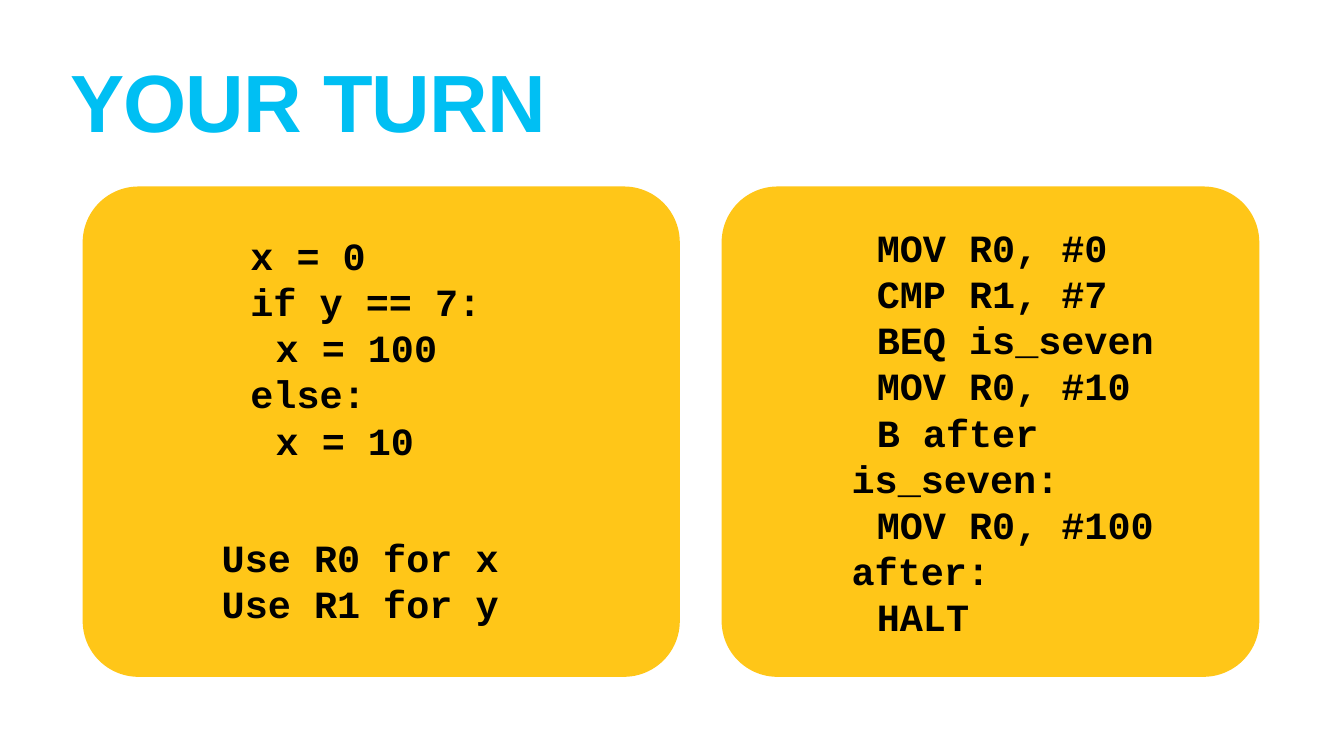
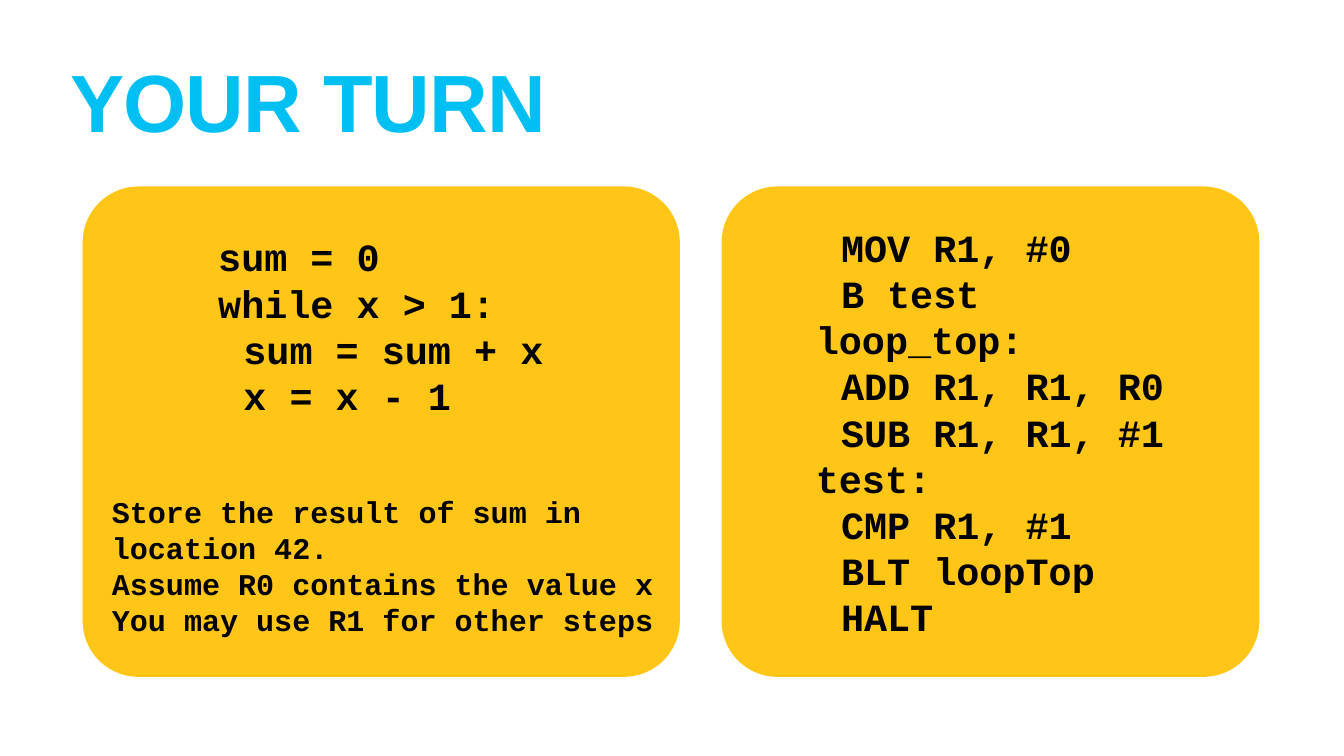
from dataclasses import dataclass

from pptx import Presentation
from pptx.dml.color import RGBColor
from pptx.enum.shapes import MSO_SHAPE
from pptx.enum.text import MSO_ANCHOR
from pptx.util import Inches, Pt

ROUND = MSO_SHAPE.ROUNDED_RECTANGLE
TOP, MIDDLE = MSO_ANCHOR.TOP, MSO_ANCHOR.MIDDLE


@dataclass(frozen=True)
class Theme:
    panel: str = "FFC618"
    head: str = "00BFF3"
    ink: str = "000000"
    sans: str = "Arial"
    mono: str = "Courier New"
    title: int = 116
    code: int = 55
    note: int = 43
    step: float = 0.5      # indent per level, inches
    pitch: float = 1.2     # code line height per point of type


THEME = Theme()

# Content: each line of code is (level, text)
TITLE = "YOUR TURN"
TITLE_BOX = (1.33, 1.33, 24, 2.51)
PANELS = [(1.64, 3.7, 11.85, 9.73), (14.32, 3.7, 10.67, 9.73)]

SLIDES = [
    [
        {"box": (4.91, 4.21, 4.71, 5.36), "wrap": False, "lines": [
            (0, "x = 0"),
            (0, "if y == 7:"),
            (1, "x = 100"),
            (0, "else:"),
            (1, "x = 10"),
        ]},
        {"box": (4.34, 10.14, 5.85, 2.74), "lines": [
            (0, "Use R0 for x"),
            (0, "Use R1 for y"),
        ]},
        {"box": (16.34, 4.57, 6.63, 7.99), "wrap": False, "lines": [
            (2, "MOV R0, #0"),
            (2, "CMP R1, #7"),
            (2, "BEQ is_seven"),
            (2, "MOV R0, #10"),
            (2, "B after"),
            (1, "is_seven:"),
            (2, "MOV R0, #100"),
            (1, "after:"),
            (2, "HALT"),
        ]},
    ],
    [
        {"box": (4.27, 4.66, 6.58, 3.61), "wrap": False, "lines": [
            (0, "sum = 0"),
            (0, "while x > 1:"),
            (1, "sum = sum + x"),
            (1, "x = x - 1"),
        ]},
        {"box": (2.16, 9.46, 11.61, 3.51), "size": THEME.note, "lines": [
            (0, "Store the result of sum in location 42."),
            (0, "Assume R0 contains the value x"),
            (0, "You may use R1 for other steps"),
        ]},
        {"box": (16.13, 4.57, 7.04, 7.99), "wrap": False, "lines": [
            (1, "MOV R1, #0"),
            (1, "B test"),
            (0, "loop_top:"),
            (1, "ADD R1, R1, R0"),
            (1, "SUB R1, R1, #1"),
            (0, "test:"),
            (1, "CMP R1, #1"),
            (1, "BLT loopTop"),
            (1, "HALT"),
        ]},
    ],
]


def place(box):
    return [Inches(side) for side in box]


def add_text(slide, lines, box, size=THEME.code, font=THEME.mono,
             color=THEME.ink, anchor=MIDDLE, wrap=True, space=None, track=0):
    frame = slide.shapes.add_textbox(*place(box)).text_frame
    frame.word_wrap = wrap
    frame.vertical_anchor = anchor
    frame.margin_left = frame.margin_right = Inches(0.06)
    frame.margin_top = frame.margin_bottom = Inches(0.06)
    for row, (level, text) in enumerate(lines):
        para = frame.add_paragraph() if row else frame.paragraphs[0]
        para.level = level
        para.line_spacing = space or Pt(size * THEME.pitch)
        props = para._p.get_or_add_pPr()
        props.set("marL", str(Inches(level * THEME.step)))
        props.set("indent", "0")
        run = para.add_run()
        run.text = text
        run.font.name = font
        run.font.size = Pt(size)
        run.font.bold = True
        run.font.color.rgb = RGBColor.from_string(color)
        if track:
            run._r.get_or_add_rPr().set("spc", str(round(track * 100)))


def add_panel(slide, box):
    panel = slide.shapes.add_shape(ROUND, *place(box))
    panel.adjustments[0] = 0.114
    panel.shadow.inherit = False
    panel.fill.solid()
    panel.fill.fore_color.rgb = RGBColor.from_string(THEME.panel)
    panel.line.fill.background()


def main():
    deck = Presentation()
    deck.slide_width, deck.slide_height = Inches(26.67), Inches(15)
    blank = deck.slide_layouts[6]
    for blocks in SLIDES:
        slide = deck.slides.add_slide(blank)
        # Shared panels and title
        for box in PANELS:
            add_panel(slide, box)
        add_text(slide, [(0, TITLE)], TITLE_BOX, size=THEME.title,
                 font=THEME.sans, color=THEME.head, anchor=TOP,
                 space=0.8, track=-1.2)
        # Task, hint and answer
        for block in blocks:
            add_text(slide, **block)
    deck.save("out.pptx")


if __name__ == "__main__":
    main()
